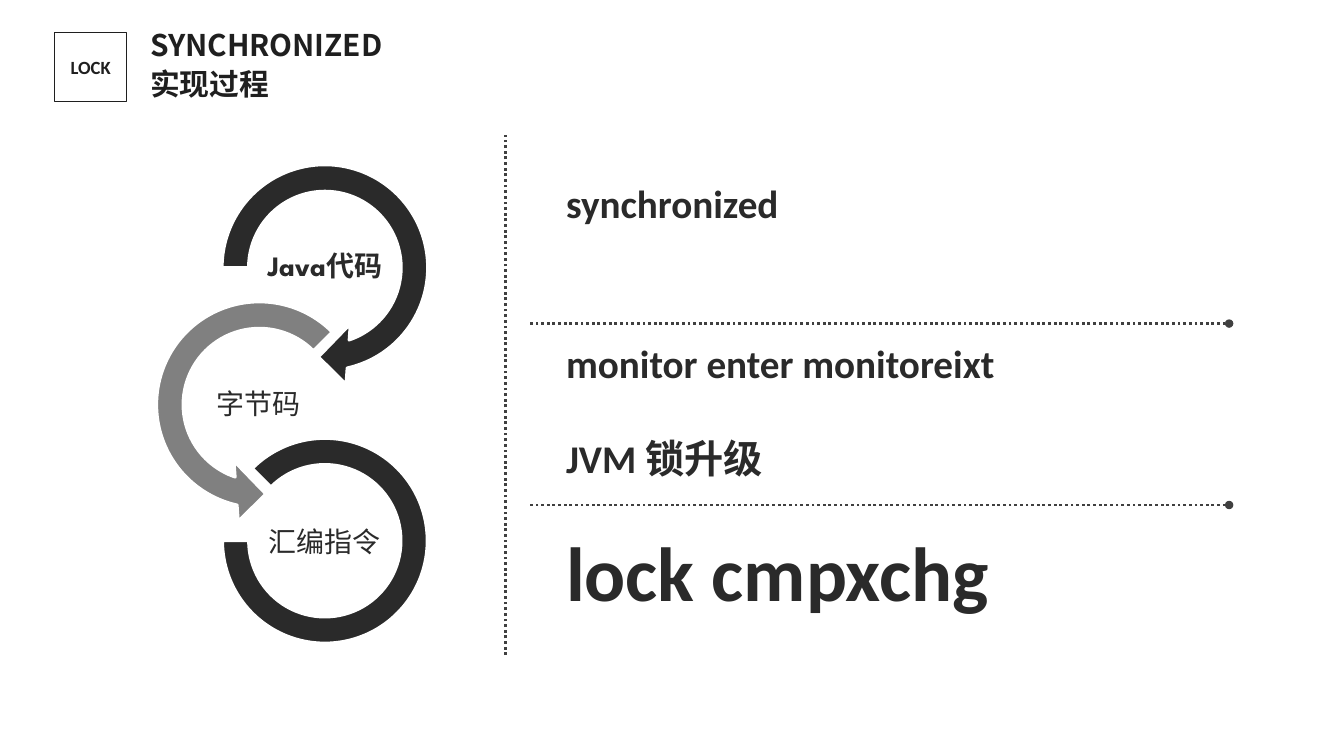
from dataclasses import dataclass

from lxml.etree import SubElement
from pptx import Presentation
from pptx.dml.color import RGBColor
from pptx.enum.dml import MSO_LINE
from pptx.enum.shapes import MSO_CONNECTOR, MSO_SHAPE
from pptx.enum.text import MSO_ANCHOR, MSO_AUTO_SIZE, PP_ALIGN
from pptx.oxml.ns import qn
from pptx.shapes.autoshape import Shape
from pptx.shapes.shapetree import GroupShapes, SlideShapes
from pptx.util import Inches, Pt

INK = RGBColor(0x1F, 0x1F, 0x1F)
DARK = RGBColor(0x2A, 0x2A, 0x2A)
GRAY = RGBColor(0x80, 0x80, 0x80)
RULE = RGBColor(0x40, 0x40, 0x40)
WHITE = RGBColor(0xFF, 0xFF, 0xFF)
BODY_FONT = "Calibri"
STAGE_FONT = "League Spartan"
TITLE_FONT = "Noto Sans CJK SC"


@dataclass(frozen=True)
class Box:
    left: float
    top: float
    width: float
    height: float

    def lengths(self) -> tuple[Inches, ...]:
        return tuple(map(Inches, (self.left, self.top, self.width, self.height)))


@dataclass(frozen=True)
class TextStyle:
    font: str
    size: float
    color: RGBColor = DARK
    bold: bool = True
    align: PP_ALIGN = PP_ALIGN.LEFT
    anchor: MSO_ANCHOR = MSO_ANCHOR.TOP
    inset_x: float = 0.1
    inset_y: float = 0.05
    line_spacing: float = 1.0
    gap: float = 0
    wrap: bool = True
    grow: bool = False


@dataclass(frozen=True)
class Stage:
    label: str
    label_box: Box
    arc: MSO_SHAPE
    arc_box: Box
    adjustments: tuple[float, ...]
    color: RGBColor
    bold: bool = False


@dataclass(frozen=True)
class Detail:
    box: Box
    lines: tuple[str, ...]
    size: float = 28
    gap: float = 0


@dataclass(frozen=True)
class Divider:
    start: tuple[float, float]
    end: tuple[float, float]
    dot: bool = False


STAGES = (
    Stage("Java代码", Box(2.57, 2.32, 1.31, 0.66), MSO_SHAPE.CIRCULAR_ARROW,
          Box(2.04, 1.47, 2.37, 2.37), (0.11, 11.42, 45, 108, 0.125), DARK, True),
    Stage("字节码", Box(1.91, 3.69, 1.31, 0.66), MSO_SHAPE.LEFT_CIRCULAR_ARROW,
          Box(1.39, 2.83, 2.37, 2.37), (0.11, 11.42, 63, 189, 0.125), GRAY),
    Stage("汇编指令", Box(2.57, 5.06, 1.31, 0.66), MSO_SHAPE.BLOCK_ARC,
          Box(2.21, 4.35, 2.03, 2.03), (135, 108, 0.127), DARK),
)
DIVIDERS = (
    Divider((12.2, 3.21), (5.24, 3.21), True),
    Divider((12.2, 5.01), (5.24, 5.01), True),
    Divider((5.02, 6.5), (5.02, 1.34)),
)
DETAILS = (
    Detail(Box(5.52, 1.73, 2.33, 0.57), ("synchronized",)),
    Detail(Box(5.52, 3.32, 4.68, 1.51), ("monitor enter monitoreixt", "JVM 锁升级"), gap=34),
    Detail(Box(5.52, 5.16, 4.44, 1.02), ("lock cmpxchg",), 54.7),
)


def write(shape: Shape, lines: tuple[str, ...], style: TextStyle) -> None:
    frame = shape.text_frame
    frame.text = "\n".join(lines)
    frame.word_wrap = style.wrap
    frame.auto_size = MSO_AUTO_SIZE.SHAPE_TO_FIT_TEXT if style.grow else MSO_AUTO_SIZE.NONE
    frame.vertical_anchor = style.anchor
    frame.margin_left = frame.margin_right = Inches(style.inset_x)
    frame.margin_top = frame.margin_bottom = Inches(style.inset_y)
    for index, paragraph in enumerate(frame.paragraphs):
        paragraph.alignment = style.align
        paragraph.line_spacing = style.line_spacing
        paragraph.space_before = Pt(style.gap if index else 0)
        paragraph.font.name = style.font
        paragraph.font.size = Pt(style.size)
        paragraph.font.bold = style.bold
        paragraph.font.color.rgb = style.color


def draw_header(shapes: SlideShapes) -> None:
    title = shapes.add_textbox(*Box(1.36, 0.16, 3.15, 0.92).lengths())
    write(title, ("SYNCHRONIZED", "实现过程"),
          TextStyle(TITLE_FONT, 21.3, INK, anchor=MSO_ANCHOR.MIDDLE, inset_x=0.13,
                    inset_y=0.07, line_spacing=1.1, grow=True))
    badge = shapes.add_shape(MSO_SHAPE.RECTANGLE, *Box(0.54, 0.32, 0.72, 0.69).lengths())
    badge.shadow.inherit = False
    badge.fill.background()
    badge.line.color.rgb = INK
    badge.line.width = Pt(0.75)
    write(badge, ("LOCK",),
          TextStyle(BODY_FONT, 13.3, INK, align=PP_ALIGN.CENTER,
                    anchor=MSO_ANCHOR.MIDDLE, inset_x=0.13, inset_y=0.07))


def draw_stage(shapes: GroupShapes, stage: Stage) -> None:
    arc = shapes.add_shape(stage.arc, *stage.arc_box.lengths())
    arc.shadow.inherit = False
    for index, value in enumerate(stage.adjustments):
        arc.adjustments[index] = value
    arc.fill.solid()
    arc.fill.fore_color.rgb = stage.color
    arc.line.color.rgb = WHITE
    arc.line.width = Pt(2)
    label = shapes.add_textbox(*stage.label_box.lengths())
    write(label, (stage.label,),
          TextStyle(STAGE_FONT, 20, bold=stage.bold, align=PP_ALIGN.CENTER,
                    anchor=MSO_ANCHOR.MIDDLE, inset_x=0.01, inset_y=0.01, line_spacing=0.9))


def draw_divider(shapes: SlideShapes, divider: Divider) -> None:
    ends = map(Inches, (*divider.start, *divider.end))
    connector = shapes.add_connector(MSO_CONNECTOR.STRAIGHT, *ends)
    connector.line.color.rgb = RULE
    connector.line.width = Pt(2)
    connector.line.dash_style = MSO_LINE.ROUND_DOT
    properties = connector._element.spPr
    if divider.dot:
        SubElement(properties.find(qn("a:ln")), qn("a:headEnd"), type="oval")
    SubElement(properties, qn("a:effectLst"))


def draw_detail(shapes: SlideShapes, detail: Detail) -> None:
    text_box = shapes.add_textbox(*detail.box.lengths())
    write(text_box, detail.lines,
          TextStyle(BODY_FONT, detail.size, gap=detail.gap, wrap=False, grow=True))


def main() -> None:
    presentation = Presentation()
    presentation.slide_width = Inches(13.34)
    presentation.slide_height = Inches(7.5)
    slide = presentation.slides.add_slide(presentation.slide_layouts[6])
    draw_header(slide.shapes)
    stage_group = slide.shapes.add_group_shape()
    for stage in STAGES:
        draw_stage(stage_group.shapes, stage)
    for divider in DIVIDERS:
        draw_divider(slide.shapes, divider)
    for detail in DETAILS:
        draw_detail(slide.shapes, detail)
    presentation.save("out.pptx")


if __name__ == "__main__":
    main()
